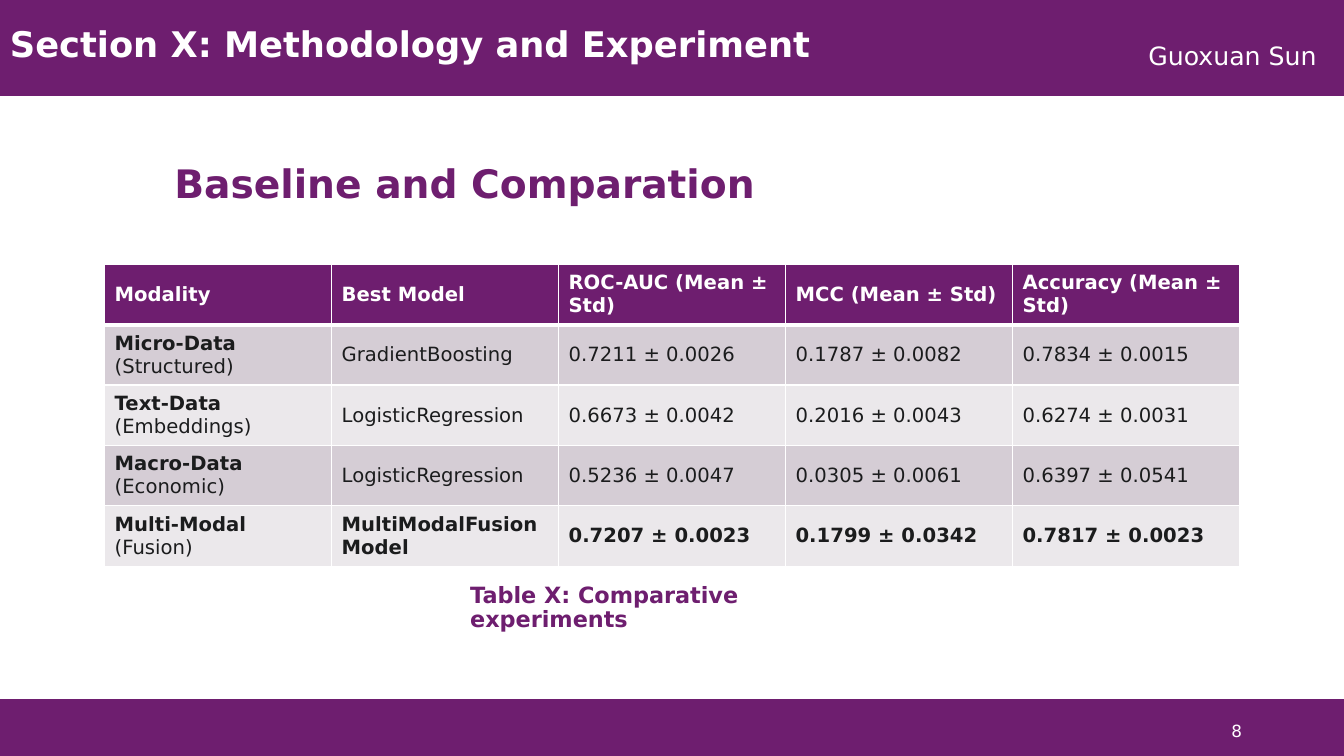
from dataclasses import dataclass

from lxml import etree
from pptx import Presentation
from pptx.dml.color import RGBColor
from pptx.enum.shapes import MSO_SHAPE
from pptx.enum.text import MSO_ANCHOR, MSO_AUTO_SIZE, PP_ALIGN
from pptx.oxml.ns import qn
from pptx.util import Cm, Pt

RECTANGLE = MSO_SHAPE.RECTANGLE
TOP, MIDDLE = MSO_ANCHOR.TOP, MSO_ANCHOR.MIDDLE
LEFT, RIGHT = PP_ALIGN.LEFT, PP_ALIGN.RIGHT
NO_AUTOFIT = MSO_AUTO_SIZE.NONE
TITLE_ONLY = 5


@dataclass(frozen=True)
class Theme:
    font: str = "DejaVu Sans"
    purple: str = "6E1E6F"
    white: str = "FFFFFF"
    ink: str = "1B1C1D"
    stripes: tuple[str, str] = ("D5CDD5", "EBE8EB")
    title: float = 28
    section: float = 25.2
    author: float = 18
    caption: float = 16
    table: float = 14
    page_number: float = 12


@dataclass(frozen=True)
class Area:
    left: float
    top: float
    width: float
    height: float

    def lengths(self):
        return Cm(self.left), Cm(self.top), Cm(self.width), Cm(self.height)


@dataclass(frozen=True)
class Span:
    text: str
    bold: bool = False


@dataclass(frozen=True)
class Label:
    area: Area
    span: Span
    size: float
    color: str
    align: PP_ALIGN = LEFT
    anchor: MSO_ANCHOR = TOP
    line_spacing: float = 1.0


@dataclass(frozen=True)
class Result:
    modality: str
    source: str
    model: str
    scores: tuple[str, str, str]
    best: bool = False

    def cells(self) -> list[list[Span]]:
        values = (self.model, *self.scores)
        first = [Span(self.modality, True), Span(f" ({self.source})")]
        return [first] + [[Span(value, self.best)] for value in values]


THEME = Theme()
SLIDE_WIDTH, SLIDE_HEIGHT = 33.87, 19.05
COLUMN_WIDTH, ROW_HEIGHT = 5.72, 1.51
TABLE_LEFT, TABLE_TOP = 2.64, 6.66
THIN, THICK = Pt(1), Pt(3)

BANDS = (
    Area(0, 17.65, SLIDE_WIDTH, 1.4),
    Area(0, 0, SLIDE_WIDTH, 2.39),
)
TITLE = Label(Area(4.14, 4.01, 25.81, 1.9), Span("Baseline and Comparation", True),
              THEME.title, THEME.purple, line_spacing=0.9)
LABELS = (
    Label(Area(23.93, 17.91, 7.62, 1.02), Span("8"),
          THEME.page_number, THEME.white, align=RIGHT, anchor=MIDDLE),
    Label(Area(11.6, 14.6, 10.67, 1.07), Span("Table X: Comparative experiments", True),
          THEME.caption, THEME.purple, line_spacing=0.9),
    Label(Area(0, 0.56, SLIDE_WIDTH, 1.32), Span("Section X: Methodology and Experiment", True),
          THEME.section, THEME.white, line_spacing=0.9),
    Label(Area(28.69, 0.89, 5.18, 1.02), Span("Guoxuan Sun"), THEME.author, THEME.white),
)
HEADINGS = ("Modality", "Best Model", "ROC-AUC (Mean ± Std)",
            "MCC (Mean ± Std)", "Accuracy (Mean ± Std)")
RESULTS = (
    Result("Micro-Data", "Structured", "GradientBoosting",
           ("0.7211 ± 0.0026", "0.1787 ± 0.0082", "0.7834 ± 0.0015")),
    Result("Text-Data", "Embeddings", "LogisticRegression",
           ("0.6673 ± 0.0042", "0.2016 ± 0.0043", "0.6274 ± 0.0031")),
    Result("Macro-Data", "Economic", "LogisticRegression",
           ("0.5236 ± 0.0047", "0.0305 ± 0.0061", "0.6397 ± 0.0541")),
    Result("Multi-Modal", "Fusion", "MultiModalFusionModel",
           ("0.7207 ± 0.0023", "0.1799 ± 0.0342", "0.7817 ± 0.0023"), best=True),
)


def add_span(para, span: Span, size: float, color: str) -> None:
    run = para.add_run()
    run.text = span.text
    run.font.name = THEME.font
    run.font.size = Pt(size)
    run.font.bold = span.bold
    run.font.color.rgb = RGBColor.from_string(color)


def write_label(box, label: Label) -> None:
    box.left, box.top, box.width, box.height = label.area.lengths()
    frame = box.text_frame
    frame.word_wrap = True
    frame.auto_size = NO_AUTOFIT
    frame.vertical_anchor = label.anchor
    para = frame.paragraphs[0]
    para.alignment = label.align
    para.line_spacing = label.line_spacing
    add_span(para, label.span, label.size, label.color)


def add_band(slide, area: Area) -> None:
    band = slide.shapes.add_shape(RECTANGLE, *area.lengths())
    band.shadow.inherit = False
    band.fill.solid()
    band.fill.fore_color.rgb = RGBColor.from_string(THEME.purple)
    band.line.color.rgb = RGBColor.from_string(THEME.purple)
    band.line.width = Pt(1.5)


def add_borders(cell, top: int, bottom: int) -> None:
    properties = cell._tc.get_or_add_tcPr()
    for side, width in (("L", THIN), ("R", THIN), ("T", top), ("B", bottom)):
        line = etree.SubElement(properties, qn(f"a:ln{side}"), w=str(width))
        fill = etree.SubElement(line, qn("a:solidFill"))
        etree.SubElement(fill, qn("a:srgbClr"), val=THEME.white)


def add_results_table(slide) -> None:
    rows = [[[Span(heading, True)] for heading in HEADINGS]]
    rows += [result.cells() for result in RESULTS]
    area = Area(TABLE_LEFT, TABLE_TOP, COLUMN_WIDTH * len(HEADINGS), ROW_HEIGHT * len(rows))
    table = slide.shapes.add_table(len(rows), len(HEADINGS), *area.lengths()).table
    for column in table.columns:
        column.width = Cm(COLUMN_WIDTH)
    for row_index, row in enumerate(rows):
        table.rows[row_index].height = Cm(ROW_HEIGHT)
        is_header = row_index == 0
        background = THEME.purple if is_header else THEME.stripes[(row_index - 1) % 2]
        color = THEME.white if is_header else THEME.ink
        for column_index, spans in enumerate(row):
            cell = table.cell(row_index, column_index)
            cell.vertical_anchor = MIDDLE
            cell.margin_left = cell.margin_right = Cm(0.25)
            cell.margin_top = cell.margin_bottom = Cm(0.18)
            # Borders come before the fill in the cell properties
            add_borders(cell, top=THICK if row_index == 1 else THIN,
                        bottom=THICK if is_header else THIN)
            cell.fill.solid()
            cell.fill.fore_color.rgb = RGBColor.from_string(background)
            for span in spans:
                add_span(cell.text_frame.paragraphs[0], span, THEME.table, color)


def main() -> None:
    deck = Presentation()
    deck.slide_width, deck.slide_height = Cm(SLIDE_WIDTH), Cm(SLIDE_HEIGHT)
    slide = deck.slides.add_slide(deck.slide_layouts[TITLE_ONLY])

    # Header and footer bands
    for area in BANDS:
        add_band(slide, area)

    # Title and results
    write_label(slide.shapes.title, TITLE)
    add_results_table(slide)

    # Page number, caption, section and author
    for label in LABELS:
        write_label(slide.shapes.add_textbox(*label.area.lengths()), label)

    deck.save("out.pptx")


if __name__ == "__main__":
    main()
